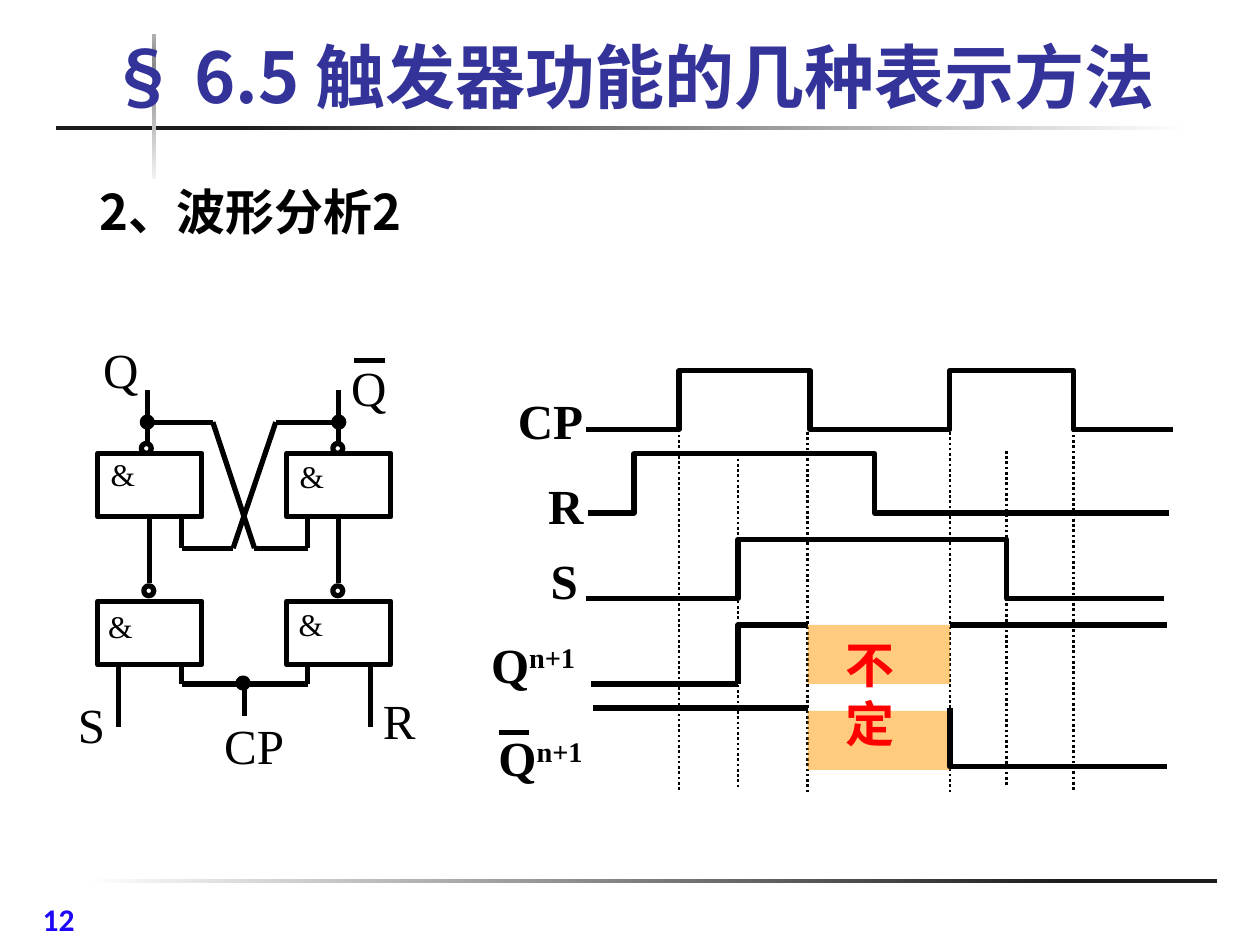
from lxml import etree
from pptx import Presentation
from pptx.dml.color import RGBColor
from pptx.enum.dml import MSO_LINE_DASH_STYLE as Dash
from pptx.enum.shapes import MSO_CONNECTOR as Connector, MSO_SHAPE as Shape
from pptx.enum.text import MSO_ANCHOR as Anchor, PP_ALIGN as Align
from pptx.oxml.ns import qn
from pptx.util import Cm, Pt

BLACK = RGBColor(0x00, 0x00, 0x00)
RED = RGBColor(0xFF, 0x00, 0x00)
ORANGE = RGBColor(0xFF, 0x99, 0x00)
TITLE_BLUE = RGBColor(0x33, 0x33, 0x99)
NUMBER_BLUE = RGBColor(0x1F, 0x08, 0xF8)
WHITE = RGBColor(0xFF, 0xFF, 0xFF)
CHARCOAL = RGBColor(0x1C, 0x1C, 0x1C)
PALE_GRAY = RGBColor(0xF2, 0xF2, 0xF2)
MID_GRAY = RGBColor(0x8C, 0x8C, 0x8C)
SOFT_GRAY = RGBColor(0xB2, 0xB2, 0xB2)

SERIF = "Times New Roman"
CJK = "Noto Sans CJK SC"
SWING = 1.19  # height between the low and high level of a signal
GATE_WIDTH, GATE_HEIGHT = 2.1, 1.28
UPPER_GATE, LOWER_GATE = 9.14, 12.12


def format_run(run, size, font, color, bold):
    run.font.size, run.font.name, run.font.bold = Pt(size), font, bold
    run.font.color.rgb = color
    if font == CJK:
        etree.SubElement(run._r.get_or_add_rPr(), qn("a:ea"), typeface=font)


def add_label(slide, text, left, top, width, height=1.45, size=28, font=SERIF,
              color=BLACK, bold=False, superscript=""):
    frame = slide.shapes.add_textbox(Cm(left), Cm(top), Cm(width), Cm(height)).text_frame
    frame.word_wrap = True
    frame.text = text
    paragraph = frame.paragraphs[0]
    if superscript:
        exponent = paragraph.add_run()
        exponent.text = superscript
        exponent._r.get_or_add_rPr().set("baseline", "30000")
    for run in paragraph.runs:
        format_run(run, size, font, color, bold)
    return frame


def add_wire(slide, x1, y1, x2, y2, width=3):
    wire = slide.shapes.add_connector(Connector.STRAIGHT, Cm(x1), Cm(y1), Cm(x2), Cm(y2))
    wire.line.color.rgb, wire.line.width = BLACK, Pt(width)
    etree.SubElement(wire._element.spPr, qn("a:effectLst"))
    return wire


def add_outline(slide, kind, left, top, width, height):
    shape = slide.shapes.add_shape(kind, Cm(left), Cm(top), Cm(width), Cm(height))
    shape.shadow.inherit = False
    shape.fill.background()
    shape.line.color.rgb, shape.line.width = BLACK, Pt(3)
    return shape


def add_dot(slide, x, y, filled=False):
    """Draw an inverter bubble or, when filled, a junction, centred on (x, y)."""
    dot = add_outline(slide, Shape.OVAL, x - 0.1, y - 0.1, 0.2, 0.2)
    if filled:
        dot.fill.solid()
        dot.fill.fore_color.rgb = BLACK


def add_trace(slide, points):
    corners = [(Cm(x), Cm(y)) for x, y in points]
    builder = slide.shapes.build_freeform(*corners[0])
    builder.add_line_segments(corners[1:], close=False)
    trace = builder.convert_to_shape()
    trace.shadow.inherit = False
    trace.fill.background()
    trace.line.color.rgb, trace.line.width = BLACK, Pt(3)


def add_waveform(slide, low, start, edges, end):
    """Draw a signal that starts low and toggles at every edge."""
    level, points = low, [(start, low)]
    for edge in edges:
        points.append((edge, level))
        level = low - SWING if level == low else low
        points.append((edge, level))
    add_trace(slide, points + [(end, level)])


def add_gradient_bar(slide, left, top, width, height, stops, angle=0):
    bar = add_outline(slide, Shape.RECTANGLE, left, top, width, height)
    bar.line.fill.background()
    bar.fill.gradient()
    bar.fill.gradient_angle = angle
    stop_list = bar._element.spPr.find(".//" + qn("a:gsLst"))
    stop_list.clear()
    for percent, color in stops:
        stop = etree.SubElement(stop_list, qn("a:gs"), pos=str(percent * 1000))
        etree.SubElement(stop, qn("a:srgbClr"), val=str(color))


def add_unknown_zone(slide, top):
    zone = add_outline(slide, Shape.RECTANGLE, 16.28, top, 2.87, SWING)
    zone.line.fill.background()
    zone.fill.solid()
    zone.fill.fore_color.rgb = ORANGE
    color = zone._element.spPr.find(".//" + qn("a:srgbClr"))
    etree.SubElement(color, qn("a:alpha"), val="50000")


def set_title(slide):
    title = slide.shapes.title
    title.left, title.top, title.width, title.height = Cm(1.93), Cm(0.86), Cm(24.08), Cm(1.63)
    frame = title.text_frame
    frame.text = "§ 6.5 触发器功能的几种表示方法"
    frame.vertical_anchor = Anchor.BOTTOM
    frame.paragraphs[0].alignment = Align.LEFT
    format_run(frame.paragraphs[0].runs[0], 40, CJK, TITLE_BLUE, True)
    slide.shapes._spTree.append(title._element)


def draw_frame(slide):
    add_gradient_bar(slide, 1.68, 17.73, 22.86, 0.08, [(0, WHITE), (87, CHARCOAL)])
    add_gradient_bar(slide, 1.12, 2.54, 22.86, 0.08, [(16, CHARCOAL), (100, WHITE)])
    add_gradient_bar(slide, 3.07, 0.69, 0.08, 2.92,
                     [(0, PALE_GRAY), (74, MID_GRAY), (83, MID_GRAY), (100, SOFT_GRAY)], 90)
    add_label(slide, "12", 0.61, 18.01, 2.51, 0.94, 18, "Calibri", NUMBER_BLUE, True)
    heading = add_label(slide, "2、波形分析2", 1.75, 3.53, 7.39, font=CJK, bold=True)
    heading.vertical_anchor = Anchor.MIDDLE


def draw_timing(slide):
    for x, top, bottom in [(13.69, 8.66, 15.95), (16.28, 8.71, 15.98), (19.15, 8.71, 15.98),
                           (21.64, 8.66, 15.95), (14.88, 9.14, 15.9), (20.29, 9.09, 15.85)]:
        add_wire(slide, x, top, x, bottom, 1.5).line.dash_style = Dash.ROUND_DOT

    add_waveform(slide, 8.66, 11.81, [13.69, 16.33, 19.15, 21.64], 23.65)
    add_waveform(slide, 10.34, 11.86, [12.78, 17.63], 23.57)
    add_waveform(slide, 12.06, 11.81, [14.88, 20.29], 23.47)
    for name, left, top, width, exponent in [
            ("CP", 10.19, 7.75, 2.26, ""), ("R", 10.8, 9.47, 1.63, ""),
            ("S", 10.85, 10.97, 1.63, ""), ("Q", 9.65, 12.67, 2.87, "n+1"),
            ("Q", 9.8, 14.55, 2.87, "n+1")]:
        add_label(slide, name, left, top, width, bold=True, superscript=exponent)
    add_wire(slide, 10.06, 14.76, 10.67, 14.76)

    for start, end, y in [(11.91, 13.74, 13.79), (13.69, 14.88, 13.79),
                          (11.96, 13.74, 14.27), (13.69, 14.88, 14.27),
                          (14.88, 16.28, 14.27), (19.15, 23.52, 12.6)]:
        add_wire(slide, start, y, end, y)
    add_trace(slide, [(14.88, 13.79), (14.88, 12.6), (16.28, 12.6)])
    for top in (12.6, 14.33):
        add_unknown_zone(slide, top)
    add_label(slide, "不定", 16.79, 12.67, 1.63, 2.62, font=CJK, color=RED, bold=True)
    add_trace(slide, [(19.15, 14.27), (19.15, 15.46), (23.52, 15.46)])


def draw_circuit(slide):
    upper_bottom, lower_bottom = UPPER_GATE + GATE_HEIGHT, LOWER_GATE + GATE_HEIGHT
    # per side: gate left, output x, outer input x, inner input x, cross top x, cross bottom x
    for left, output, outer, inner, cross_top, cross_bottom in [
            (1.97, 2.97, 2.39, 3.66, 4.29, 5.13), (5.78, 6.83, 7.47, 6.2, 5.56, 4.7)]:
        upper, _ = [add_outline(slide, Shape.RECTANGLE, left, top, GATE_WIDTH, GATE_HEIGHT)
                    for top in (UPPER_GATE, LOWER_GATE)]
        center = left + GATE_WIDTH / 2
        add_wire(slide, center, upper_bottom, center, 11.76).begin_connect(upper, 2)
        add_wire(slide, output, 7.87, output, 8.94)
        add_wire(slide, center, 8.51, cross_top, 8.51)
        add_wire(slide, cross_top, 8.51, cross_bottom, 11.05)
        add_wire(slide, inner, upper_bottom, inner, 11.05)
        add_wire(slide, inner, 11.05, 9.83 - cross_bottom, 11.05)
        add_wire(slide, outer, lower_bottom, outer, 14.66)
        add_wire(slide, inner, lower_bottom, inner, 13.79)
        add_dot(slide, output - 0.02, 9.04)
        add_dot(slide, center - 0.02, 11.91)
        add_dot(slide, output, 8.51, filled=True)
    add_wire(slide, 3.66, 13.79, 6.2, 13.79)
    add_wire(slide, 4.93, 13.79, 4.93, 14.43)
    add_dot(slide, 4.9, 13.77, filled=True)
    add_wire(slide, 7.14, 7.26, 7.77, 7.26)

    for name, left, top, width in [("Q", 1.83, 6.71, 1.7), ("Q", 6.83, 7.09, 1.27),
                                   ("S", 1.32, 13.87, 1.1), ("R", 7.47, 13.79, 1.12),
                                   ("CP", 4.27, 14.3, 1.8)]:
        add_label(slide, name, left, top, width)
    for left, top in [(1.98, 9.04), (5.79, 9.09), (1.93, 12.12), (5.77, 12.07)]:
        add_label(slide, "&", left, top, 1.02, 1.02, 18)


def main():
    deck = Presentation()
    deck.slide_width, deck.slide_height = Cm(25.4), Cm(19.05)
    slide = deck.slides.add_slide(deck.slide_layouts[5])
    draw_frame(slide)
    draw_timing(slide)
    draw_circuit(slide)
    set_title(slide)
    deck.save("out.pptx")


if __name__ == "__main__":
    main()
